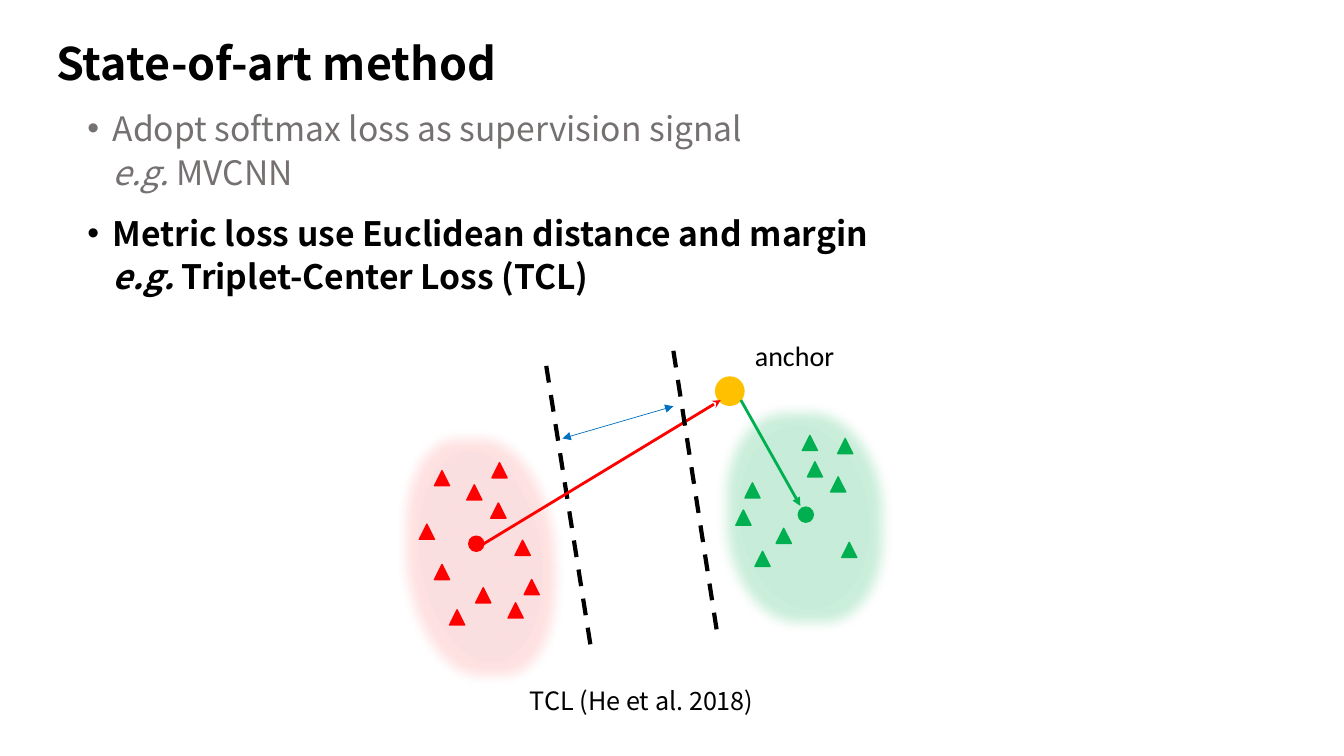
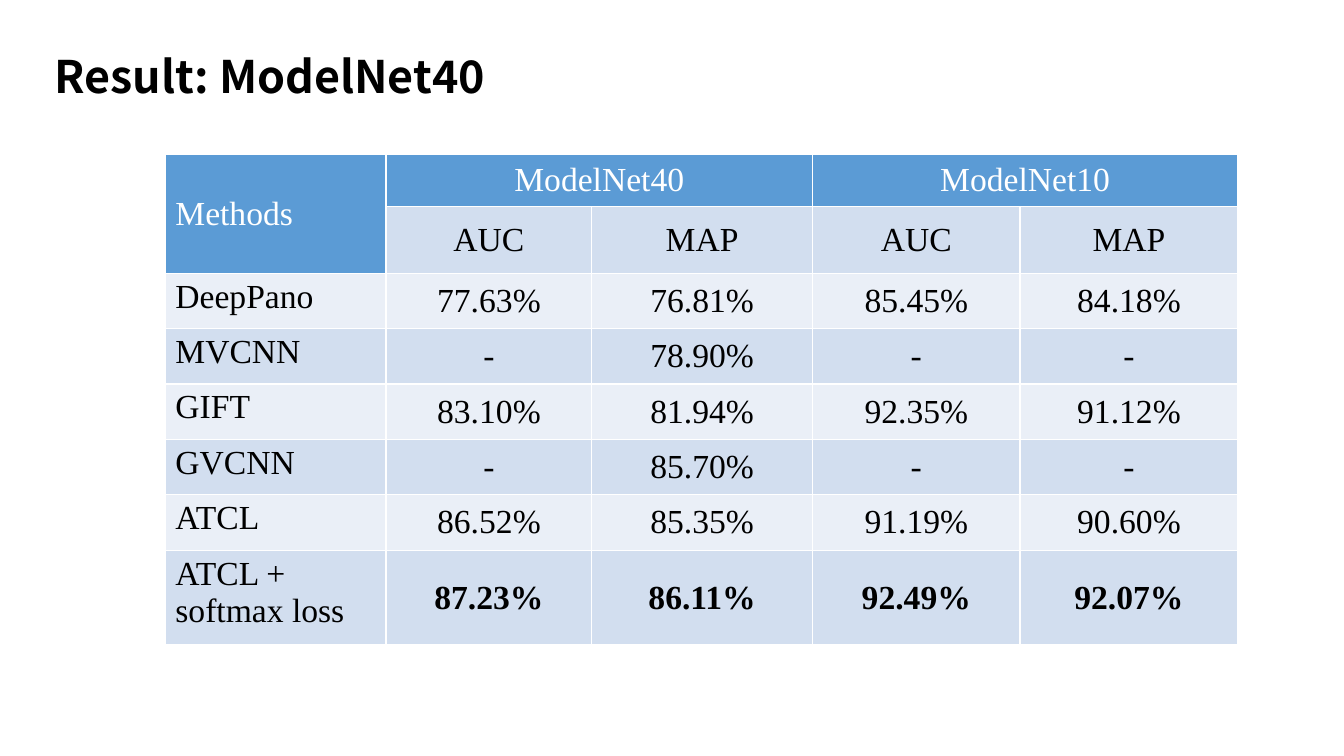
from lxml.etree import SubElement
from pptx import Presentation
from pptx.dml.color import RGBColor
from pptx.enum.dml import MSO_LINE
from pptx.enum.shapes import MSO_CONNECTOR, MSO_SHAPE as SHAPE
from pptx.enum.text import MSO_ANCHOR as ANCHOR, PP_ALIGN as ALIGN
from pptx.oxml.ns import qn
from pptx.util import Pt

COLOURS = {
    "black": "000000", "white": "FFFFFF", "grey": "767171",
    "red": "FF0000", "green": "00B050", "amber": "FFC000",
    "blue": "0070C0", "header": "5B9BD5", "band": "D2DEEF", "light": "EAEFF7",
}
SANS, SERIF, LABEL = "Noto Sans CJK SC", "Times New Roman", "Calibri"


def colour(name):
    return RGBColor.from_string(COLOURS[name])


def add_node(parent, tag, **attributes):
    return SubElement(parent, qn(tag), {key: str(value) for key, value in attributes.items()})


class SlideBuilder:
    def __init__(self, deck):
        self.deck = deck
        self.page = None

    def new_page(self, title, left, top):
        self.page = self.deck.slides.add_slide(self.deck.slide_layouts[6])
        self.text(left, top, 480, 46, title, size=32, bold=True)

    def span(self, para, words, size, font=SANS, tint="black", bold=False, italic=False):
        span = para.add_run()
        span.text = words
        span.font.size = Pt(size)
        span.font.name = font
        span.font.bold = bold
        span.font.italic = italic
        span.font.color.rgb = colour(tint)

    def frame(self, left, top, width, height):
        box = self.page.shapes.add_textbox(Pt(left), Pt(top), Pt(width), Pt(height))
        box.text_frame.word_wrap = True
        return box.text_frame

    def text(self, left, top, width, height, words, size, **style):
        frame = self.frame(left, top, width, height)
        self.span(frame.paragraphs[0], words, size, **style)

    def bullet(self, top, statement, example, **style):
        frame = self.frame(55.4, top, 828, 84.2)
        first, second = frame.paragraphs[0], frame.add_paragraph()
        for para in (first, second):
            para.line_spacing = 0.8
            para._p.get_or_add_pPr().set("marL", str(Pt(18)))
        second.space_before = Pt(8)
        properties = first._p.get_or_add_pPr()
        properties.set("indent", str(Pt(-18)))
        add_node(properties, "a:buFont", typeface="Arial")
        add_node(properties, "a:buChar", char="•")
        self.span(first, statement, 24, **style)
        self.span(second, "e.g. ", 24, italic=True, **style)
        self.span(second, example, 24, **style)

    def shape(self, kind, left, top, width, height, fill, outlined=True):
        shape = self.page.shapes.add_shape(kind, Pt(left), Pt(top), Pt(width), Pt(height))
        shape.shadow.inherit = False
        shape.fill.solid()
        shape.fill.fore_color.rgb = colour(fill)
        if outlined:
            shape.line.color.rgb = colour(fill)
            shape.line.width = Pt(1)
        else:
            shape.line.fill.background()
        return shape

    def halo(self, left, top, width, height, rotation, tint, opacity):
        halo = self.shape(SHAPE.OVAL, left, top, width, height, "header", outlined=False)
        halo.rotation = rotation
        properties = halo._element.spPr
        fill = properties.find(qn("a:solidFill")).find(qn("a:srgbClr"))
        add_node(fill, "a:alpha", val=2000)
        glow = add_node(properties.find(qn("a:effectLst")), "a:glow", rad=Pt(18))
        glow_colour = add_node(glow, "a:srgbClr", val=COLOURS[tint])
        add_node(glow_colour, "a:alpha", val=opacity * 1000)

    def cluster(self, tint, centre, samples):
        self.shape(SHAPE.OVAL, *centre, 10.8, 10.8, tint)
        for left, top in samples:
            self.shape(SHAPE.ISOSCELES_TRIANGLE, left, top, 10.8, 10.8, tint)

    def line(self, start, end, tint, width, dashed=False, head=None, tail=None):
        points = [Pt(value) for value in (*start, *end)]
        line = self.page.shapes.add_connector(MSO_CONNECTOR.STRAIGHT, *points)
        line.line.color.rgb = colour(tint)
        line.line.width = Pt(width)
        if dashed:
            line.line.dash_style = MSO_LINE.DASH
        outline = line.line._get_or_add_ln()
        for tag, arrow in (("a:headEnd", head), ("a:tailEnd", tail)):
            if arrow:
                add_node(outline, tag, type=arrow)
        add_node(line._element.spPr, "a:effectLst")

    def cell(self, cell, words, fill, tint="black", bold=False, centred=True, middle=True):
        properties = cell._tc.get_or_add_tcPr()
        for tag in ("a:lnL", "a:lnR", "a:lnT", "a:lnB"):
            border = add_node(properties, tag, w=Pt(1))
            add_node(add_node(border, "a:solidFill"), "a:srgbClr", val=COLOURS["white"])
        cell.fill.solid()
        cell.fill.fore_color.rgb = colour(fill)
        cell.vertical_anchor = ANCHOR.MIDDLE if middle else ANCHOR.TOP
        para = cell.text_frame.paragraphs[0]
        para.alignment = ALIGN.CENTER if centred else ALIGN.LEFT
        if words:
            self.span(para, words, 24, font=SERIF, tint=tint, bold=bold)

    def table(self, left, top, widths, heights, rows, merges):
        table = self.page.shapes.add_table(
            len(rows), len(widths), Pt(left), Pt(top), Pt(sum(widths)), Pt(sum(heights))
        ).table
        for column, width in zip(table.columns, widths):
            column.width = Pt(width)
        for row, height in zip(table.rows, heights):
            row.height = Pt(height)
        for first, last in merges:
            table.cell(*first).merge(table.cell(*last))
        for r, row in enumerate(rows):
            for c, words in enumerate(row):
                header = r == 0 or (r == 1 and c == 0)
                fill = "header" if header else "band" if r % 2 else "light"
                self.cell(
                    table.cell(r, c), words, fill,
                    tint="white" if header else "black",
                    bold=r == len(rows) - 1 and c > 0,
                    centred=c > 0, middle=header or c > 0,
                )


deck = Presentation()
deck.slide_width, deck.slide_height = Pt(960), Pt(540)
builder = SlideBuilder(deck)

builder.new_page("State-of-art method", 33.1, 22.3)
builder.bullet(79.2, "Adopt softmax loss as supervision signal", "MVCNN", tint="grey")
builder.bullet(154.1, "Metric loss use Euclidean distance and margin",
               "Triplet-Center Loss (TCL)", bold=True)

builder.halo(300.2, 321.8, 86.4, 151.9, 351.3, "red", 12)
builder.halo(528.5, 303.8, 92.2, 131.8, 352.4, "green", 21)
builder.cluster("red", (334.8, 383), [
    (339.8, 419.8), (367.9, 385.9), (310.3, 403.2), (350.6, 359.3),
    (321.1, 435.6), (351.4, 330.5), (362.9, 430.6), (299.5, 374.4),
    (374.4, 414), (333.4, 346.3), (310.3, 336.2),
])
builder.cluster("green", (570.2, 362.2), [
    (573.1, 311), (532.1, 344.9), (525.6, 364.3), (554.4, 377.3), (598.3, 313.2),
    (601.2, 387.4), (576.7, 329.8), (539.3, 393.8), (593.3, 340.6),
])
builder.shape(SHAPE.OVAL, 511.2, 269.3, 20.2, 20.2, "amber")
builder.line((390.2, 261.4), (421.9, 461.5), "black", 3, dashed=True)
builder.line((529.2, 285.8), (571.7, 361.4), "green", 2, tail="triangle")
builder.line((514.8, 285.8), (344.9, 388.8), "red", 2, head="stealth")
builder.line((481, 250.6), (512.6, 454.3), "black", 3, dashed=True)
builder.line((401.8, 313.2), (481, 290.2), "blue", 0.5, head="triangle", tail="triangle")
builder.text(371.5, 486, 182.9, 28.8, "TCL (He et al. 2018)", size=18)
builder.text(532.1, 238.3, 92.2, 31.7, "anchor", size=20, font=LABEL)

builder.new_page("Result: ModelNet40", 31.7, 31)
builder.table(
    118.1, 110.2,
    widths=[157.7, 146.9, 157.7, 148.3, 155.5],
    heights=[37.4, 47.5] + [39.6] * 5 + [67.7],
    rows=[
        ["Methods", "ModelNet40", "", "ModelNet10", ""],
        ["", "AUC", "MAP", "AUC", "MAP"],
        ["DeepPano", "77.63%", "76.81%", "85.45%", "84.18%"],
        ["MVCNN", "-", "78.90%", "-", "-"],
        ["GIFT", "83.10%", "81.94%", "92.35%", "91.12%"],
        ["GVCNN", "-", "85.70%", "-", "-"],
        ["ATCL", "86.52%", "85.35%", "91.19%", "90.60%"],
        ["ATCL + softmax loss", "87.23%", "86.11%", "92.49%", "92.07%"],
    ],
    merges=[((0, 0), (1, 0)), ((0, 1), (0, 2)), ((0, 3), (0, 4))],
)

deck.save("out.pptx")
